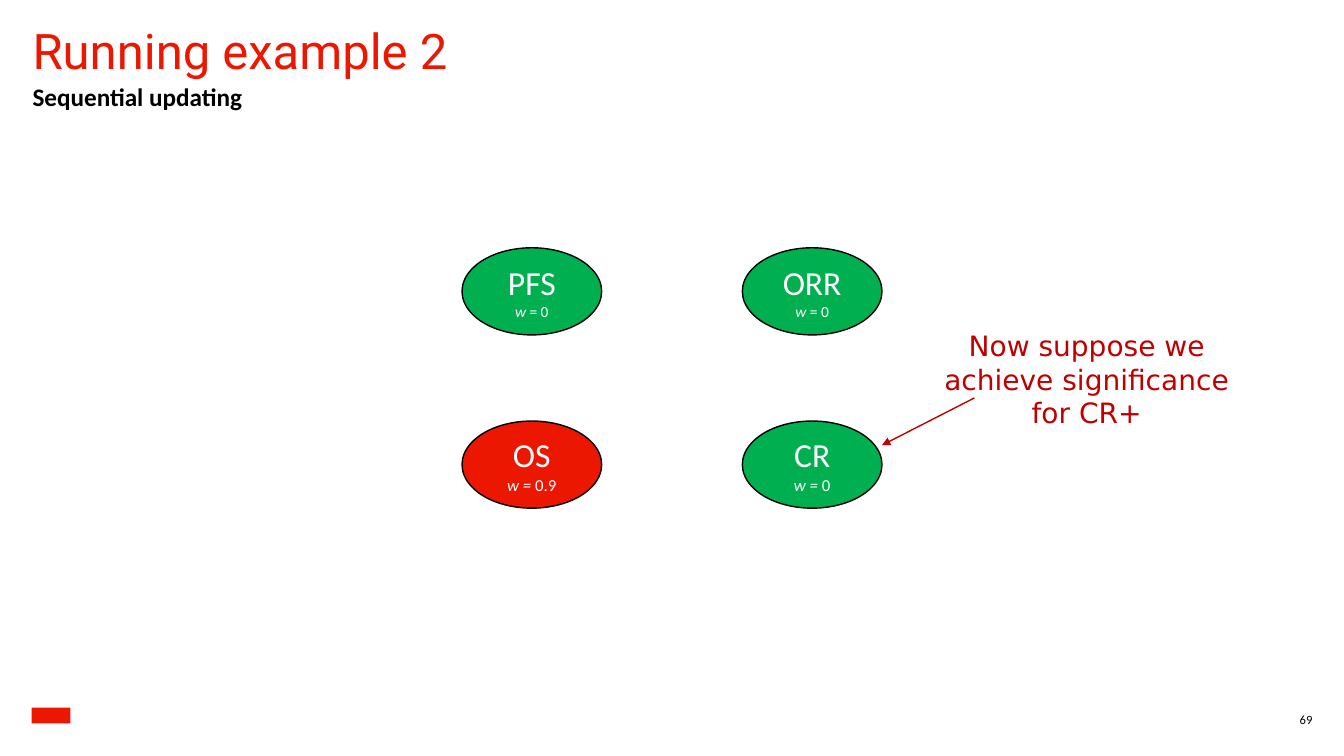
from lxml import etree
from pptx import Presentation
from pptx.dml.color import RGBColor as RGB
from pptx.enum.shapes import MSO_CONNECTOR as Link, MSO_SHAPE as Shape
from pptx.enum.text import MSO_ANCHOR as Anchor, PP_ALIGN as Align
from pptx.oxml.ns import qn
from pptx.util import Pt

PX = 9525
COLORS = {"red": "EB1700", "green": "00B050", "note": "C00000",
          "black": "000000", "white": "FFFFFF"}


class Deck:
    font = "Calibri"

    def __init__(self, wide, high):
        self.prs = Presentation()
        self.prs.slide_width = wide * PX
        self.prs.slide_height = high * PX
        self.slide = self.prs.slides.add_slide(self.prs.slide_layouts[6])

    def color(self, name):
        return RGB.from_string(COLORS[name])

    def style(self, run, size, color, font=None, bold=False, italic=False):
        face = run.font
        face.name = font or self.font
        face.size = Pt(size)
        face.bold = bold
        face.italic = italic
        face.color.rgb = self.color(color)

    def text(self, box, words, size, color, font=None, bold=False,
             align=Align.LEFT, lead=1.0, inset=0, anchor=Anchor.TOP):
        frame = self.slide.shapes.add_textbox(*(n * PX for n in box)).text_frame
        frame.word_wrap = True
        frame.vertical_anchor = anchor
        frame.margin_left = frame.margin_right = 2 * inset * PX
        frame.margin_top = frame.margin_bottom = inset * PX
        frame.text = words
        para = frame.paragraphs[0]
        para.alignment = align
        para.line_spacing = lead
        self.style(para.runs[0], size, color, font, bold)

    def shape(self, kind, box, fill, line=None):
        item = self.slide.shapes.add_shape(kind, *(n * PX for n in box))
        item.shadow.inherit = False
        item.fill.solid()
        item.fill.fore_color.rgb = self.color(fill)
        if line:
            item.line.color.rgb = self.color(line)
            item.line.width = Pt(1)
        else:
            item.line.fill.background()
        return item

    def node(self, box, fill, name, slant, value, size):
        """Draw an endpoint ellipse: its name above its weight."""
        frame = self.shape(Shape.OVAL, box, fill, "black").text_frame
        frame.vertical_anchor = Anchor.MIDDLE
        frame.text = name
        head = frame.paragraphs[0]
        self.style(head.runs[0], 24, "white")
        foot = frame.add_paragraph()
        for part, tilt in ((slant, True), (value, False)):
            run = foot.add_run()
            run.text = part
            self.style(run, size, "white", italic=tilt)
        head.alignment = foot.alignment = Align.CENTER

    def arrow(self, start, end, color):
        ends = (n * PX for n in (*start, *end))
        item = self.slide.shapes.add_connector(Link.STRAIGHT, *ends)
        item.line.color.rgb = self.color(color)
        item.line.width = Pt(1)
        etree.SubElement(item.line._get_or_add_ln(), qn("a:tailEnd"), type="triangle")
        etree.SubElement(item._element.spPr, qn("a:effectLst"))


def main():
    deck = Deck(1280, 720)
    deck.shape(Shape.RECTANGLE, (30, 674, 37, 15), "red")
    deck.text((31, 28, 1219, 49), "Running example 2", 35, "red", "Roboto", lead=0.85)
    deck.text((31, 75, 1219, 31), "Sequential updating", 18, "black", bold=True, lead=1.1)
    deck.text((1216, 676, 34, 16), "69", 9, "black", align=Align.RIGHT,
              lead=1.1, anchor=Anchor.MIDDLE)
    deck.text((889, 308, 292, 107), "Now suppose we achieve significance for CR+",
              20, "note", "DejaVu Sans", align=Align.CENTER, inset=5)
    deck.arrow((928, 379), (840, 424), "note")

    nodes = (("PFS", "green", "w", " = 0", 11), ("ORR", "green", "w", " = 0", 11),
             ("OS", "red", "w = ", "0.9", 12), ("CR", "green", "w = ", "0", 12))
    for i, (name, fill, slant, value, size) in enumerate(nodes):
        row, col = divmod(i, 2)
        box = (440 + 267 * col, 236 + 165 * row, 133, 83)
        deck.node(box, fill, name, slant, value, size)
    deck.prs.save("out.pptx")


if __name__ == "__main__":
    main()
